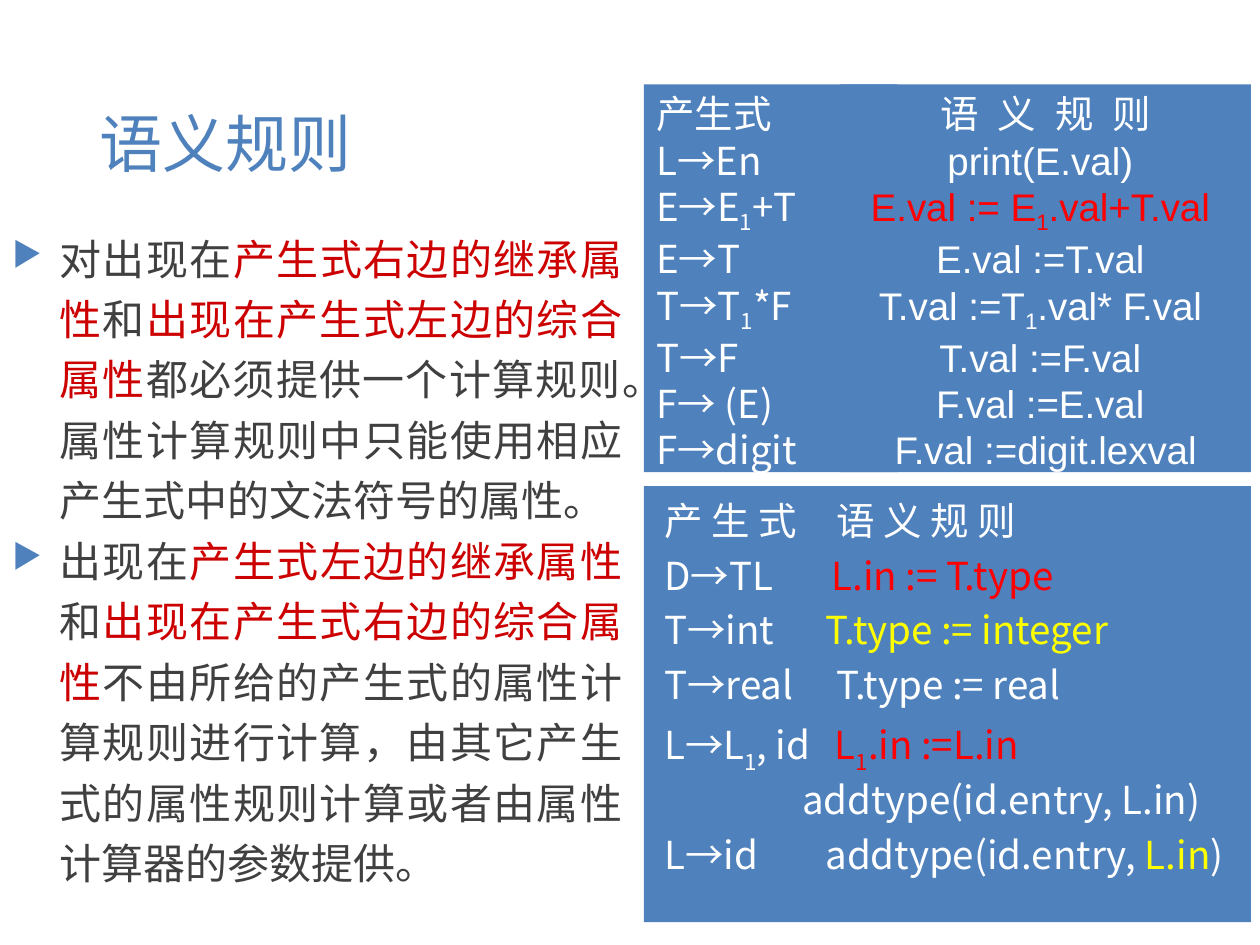
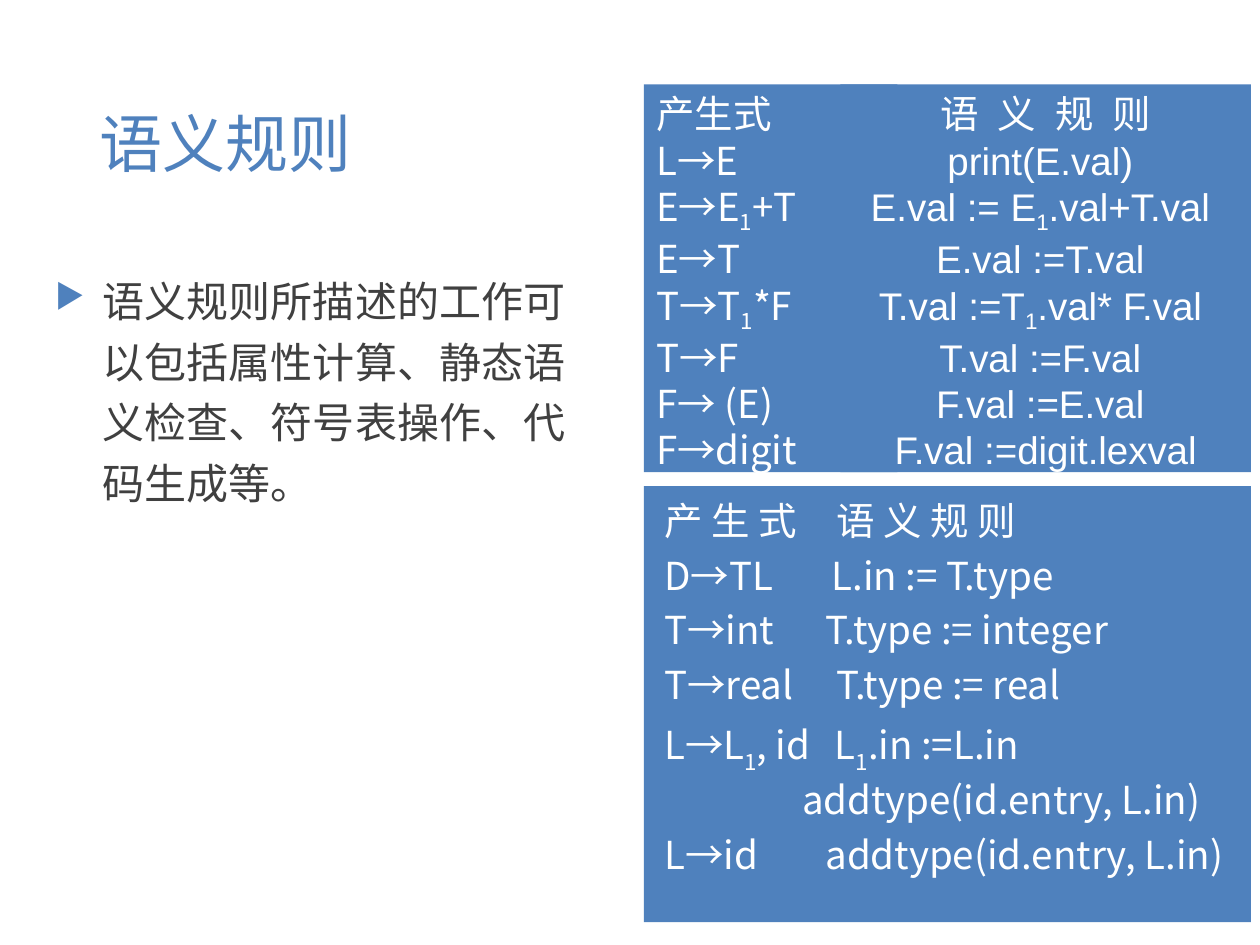
from lxml import etree
from pptx import Presentation
from pptx.dml.color import RGBColor
from pptx.enum import shapes, text
from pptx.oxml import ns
from pptx.util import Cm, Pt

BLUE, WHITE, GREY = "4F81BD", "FFFFFF", "404040"
RED, DARK, GOLD = "FF0000", "CC0000", "FFFF00"
NOTO, ARIAL = "Noto Sans CJK SC", "Arial"
ALIGN = text.PP_ALIGN
HANG = 0.95


def tint(code):
    return RGBColor.from_string(code)


def write(frame, lines, size, face, align, sub=-25):
    paras = []
    for i, line in enumerate(lines):
        para = frame.add_paragraph() if i else frame.paragraphs[0]
        para.alignment = align
        for words, hue in line:
            for k, part in enumerate(words.split("_")):
                if not part:
                    continue
                run = para.add_run()
                run.text = part
                run.font.size = Pt(size)
                run.font.name = face
                run.font.color.rgb = tint(hue)
                props = run._r.get_or_add_rPr()
                etree.SubElement(props, ns.qn("a:ea"), typeface=NOTO)
                if k % 2:
                    props.set("baseline", str(sub * 1000))
        paras.append(para)
    return paras


notes = [
    ((0, 4.37, 12.8, 13.54), [
        [("对出现在", GREY), ("产生式右边的继承属性", DARK), ("和", GREY),
         ("出现在产生式左边的综合属性", DARK),
         ("都必须提供一个计算规则。属性计算规则中只能使用相应产生式中的文法符号的属性。", GREY)],
        [("出现在", GREY), ("产生式左边的继承属性", DARK), ("和", GREY),
         ("出现在产生式右边的综合属性", DARK),
         ("不由所给的产生式的属性计算规则进行计算，由其它产生式的属性规则计算或者由属性计算器的参数提供。", GREY)],
    ]),
    ((0.86, 5.23, 10.8, 12.09), [
        [("语义规则所描述的工作可以包括属性计算、静态语义检查、符号表操作、代码生成等。", GREY)],
    ]),
]
forms = ["产生式", "L→E", "E→E_1_+T", "E→T", "T→T_1_*F", "T→F", "F→ (E)", "F→digit"]
rules = ["语 义 规 则", "print(E.val) ", "E.val := E_1_.val+T.val ", "E.val :=T.val ",
         "T.val :=T_1_.val* F.val ", "T.val :=F.val ", "F.val :=E.val ", "F.val :=digit.lexval"]
types = [
    (3.48, [("产 生 式\t语 义 规 则", WHITE)]),
    (3.38, [("D→TL\t", WHITE), ("L.in := T.type", RED)]),
    (3.26, [("T→int\t", WHITE), ("T.type := integer", GOLD)]),
    (3.48, [("T→real\tT.type := real", WHITE)]),
    (3.44, [("L→L_1_, id\t", WHITE), ("L_1_.in :=L.in", RED)]),
    (2.78, [("addtype(id.entry, L.in)", WHITE)]),
    (3.25, [("L→id\taddtype(id.entry, ", WHITE), ("L.in", GOLD), (")", WHITE)]),
]
panels = [(12.98, 1.7, 5.11, 7.82), (16.94, 1.7, 8.28, 7.82), (12.98, 9.8, 12.24, 8.79)]

deck = Presentation()
deck.slide_width, deck.slide_height = Cm(25.4), Cm(19.05)

for bright, (place, points) in zip((True, False), notes):
    slide = deck.slides.add_slide(deck.slide_layouts[6])

    title = slide.shapes.add_textbox(Cm(1.75), Cm(1.02), Cm(21.92), Cm(3.68)).text_frame
    title.word_wrap = True
    title.vertical_anchor = text.MSO_ANCHOR.MIDDLE
    write(title, [[("语义规则", BLUE)]], 36, NOTO, ALIGN.LEFT)

    body = slide.shapes.add_textbox(*map(Cm, place)).text_frame
    body.word_wrap = True
    for para in write(body, points, 24, NOTO, ALIGN.JUSTIFY):
        para.line_spacing = 1.2
        props = para._p.get_or_add_pPr()
        props.set("marL", str(Cm(HANG)))
        props.set("indent", str(-Cm(HANG)))
        color = etree.SubElement(props, ns.qn("a:buClr"))
        etree.SubElement(color, ns.qn("a:srgbClr"), val=BLUE)
        etree.SubElement(props, ns.qn("a:buSzPct"), val="80000")
        etree.SubElement(props, ns.qn("a:buChar"), char="▶")

    frames = []
    for spot in panels:
        panel = slide.shapes.add_shape(shapes.MSO_SHAPE.RECTANGLE, *map(Cm, spot))
        panel.shadow.inherit = False
        panel.fill.solid()
        panel.fill.fore_color.rgb = tint(BLUE)
        panel.line.fill.background()
        panel.text_frame.word_wrap = True
        panel.text_frame.vertical_anchor = text.MSO_ANCHOR.TOP
        frames.append(panel.text_frame)
    left, right, low = frames

    write(left, [[(form + "n" if bright and form == "L→E" else form, WHITE)] for form in forms],
          22, NOTO, ALIGN.LEFT)
    heads = write(right, [[(rule, RED if bright and i == 2 else WHITE)]
                          for i, rule in enumerate(rules)], 22, ARIAL, ALIGN.CENTER)
    heads[0].runs[0]._r.get_or_add_rPr().set("spc", "300")

    low.margin_left = low.margin_top = Cm(0.41)
    low.margin_right = 0
    lines = [[(words, hue if bright else WHITE) for words, hue in line] for stop, line in types]
    paras = write(low, lines, 22, NOTO, ALIGN.JUSTIFY, -30)
    for para, (stop, line) in zip(paras, types):
        para.line_spacing = 0.8
        para.space_before = Pt(10)
        props = para._p.get_or_add_pPr()
        if "\t" in line[0][0]:
            tabs = etree.SubElement(props, ns.qn("a:tabLst"))
            etree.SubElement(tabs, ns.qn("a:tab"), pos=str(Cm(stop)), algn="l")
        else:
            props.set("marL", str(Cm(stop)))

deck.save("out.pptx")
